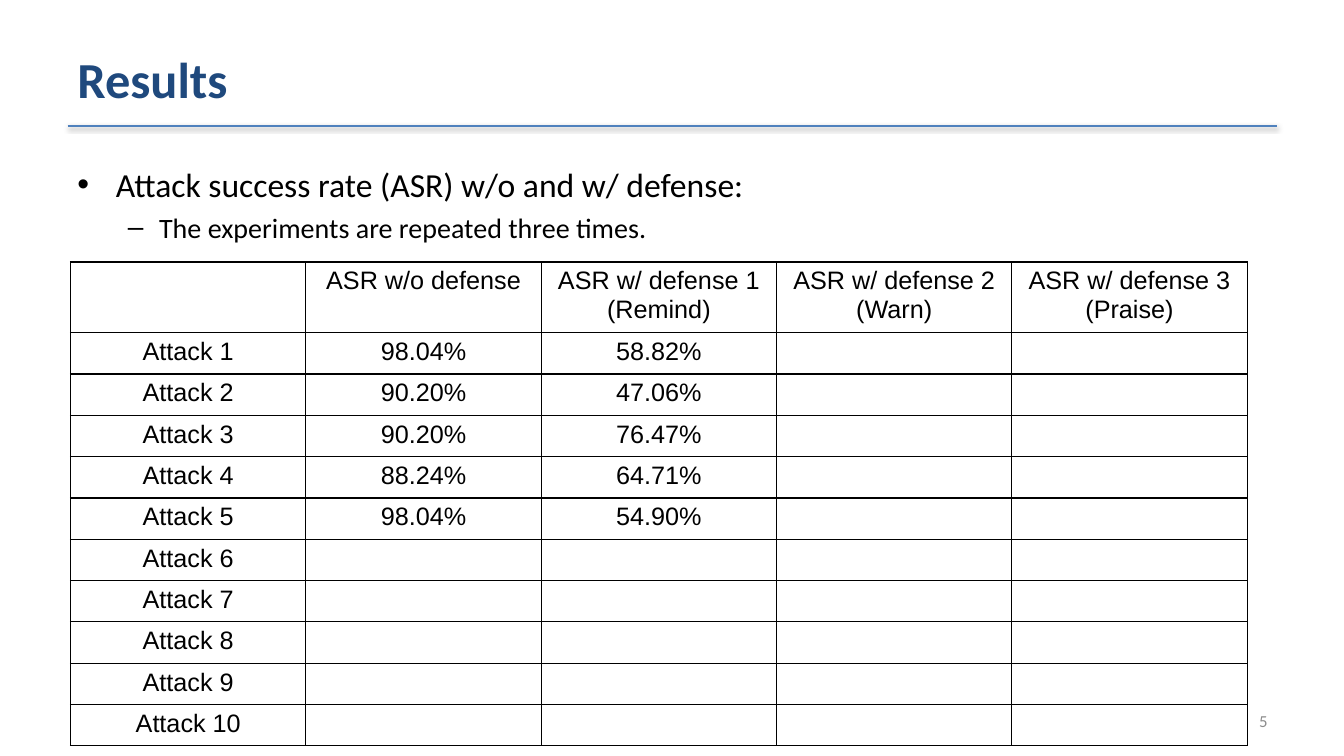
"""Build the results slide: a heading, two bullets and a table of attack success rates."""
import dataclasses

import lxml.etree
import pptx
import pptx.dml.color
import pptx.enum.shapes
import pptx.enum.text
import pptx.oxml
import pptx.oxml.ns
import pptx.util

Inches = pptx.util.Inches
Pt = pptx.util.Pt
Align = pptx.enum.text.PP_ALIGN
Anchor = pptx.enum.text.MSO_ANCHOR
qn = pptx.oxml.ns.qn


@dataclasses.dataclass(frozen=True)
class Theme:
    """Colours, fonts and type sizes of the slide."""
    title: str = "1F497D"
    rule: str = "4F81BD"
    ink: str = "000000"
    gray: str = "8C8C8C"
    sans: str = "Calibri"
    grid: str = "Arial"
    head: int = 36
    lead: int = 24
    sub: int = 20
    cell: int = 18
    foot: int = 12


THEME = Theme()
HEADS = ["", "ASR w/o defense", "ASR w/ defense 1 (Remind)",
         "ASR w/ defense 2 (Warn)", "ASR w/ defense 3 (Praise)"]
RATES = [("98.04%", "58.82%"), ("90.20%", "47.06%"), ("90.20%", "76.47%"),
         ("88.24%", "64.71%"), ("98.04%", "54.90%")]
COUNT = 10


def rgb(code):
    """Turn a hex code into a colour."""
    return pptx.dml.color.RGBColor.from_string(code)


def write(para, text, size, font=THEME.sans, color=THEME.ink, bold=False, align=Align.LEFT):
    """Put formatted text into a paragraph."""
    para.alignment = align
    run = para.add_run()
    run.text = text
    run.font.size = Pt(size)
    run.font.name = font
    run.font.bold = bold
    run.font.color.rgb = rgb(color)


def frame(slide, box, anchor=Anchor.TOP):
    """Add a wrapping text box and return its text frame."""
    area = slide.shapes.add_textbox(*map(Inches, box)).text_frame
    area.word_wrap = True
    area.vertical_anchor = anchor
    return area


def bullet(para, mark, left, hang):
    """Give a paragraph a bullet and a hanging indent."""
    props = para._p.get_or_add_pPr()
    props.set("marL", str(Inches(left)))
    props.set("indent", str(-Inches(hang)))
    lxml.etree.SubElement(props, qn("a:buFont"), typeface="Arial")
    lxml.etree.SubElement(props, qn("a:buChar"), char=mark)


def shade(line):
    """Cast a soft shadow below a connector."""
    effects = lxml.etree.SubElement(line._element.spPr, qn("a:effectLst"))
    cast = lxml.etree.SubElement(effects, qn("a:outerShdw"), blurRad=str(Pt(3.1)),
                                 dist=str(Pt(1.6)), dir="5400000", rotWithShape="0")
    tint = lxml.etree.SubElement(cast, qn("a:srgbClr"), val=THEME.ink)
    lxml.etree.SubElement(tint, qn("a:alpha"), val="38000")


def border(cell):
    """Draw all four edges of a cell."""
    props = cell._tc.get_or_add_tcPr()
    for spot, side in enumerate(("lnL", "lnR", "lnT", "lnB")):
        edge = lxml.etree.Element(qn("a:" + side), w=str(Pt(1)))
        fill = lxml.etree.SubElement(edge, qn("a:solidFill"))
        lxml.etree.SubElement(fill, qn("a:srgbClr"), val=THEME.ink)
        props.insert(spot, edge)


def header(slide, box):
    """Place the title with a rule along the bottom of its box."""
    left, top, width, height = box
    base = Inches(top + height)
    line = slide.shapes.add_connector(pptx.enum.shapes.MSO_CONNECTOR.STRAIGHT,
                                      Inches(left), base, Inches(left + width), base)
    line.line.color.rgb = rgb(THEME.rule)
    line.line.width = Pt(2)
    shade(line)
    area = frame(slide, box, Anchor.MIDDLE)
    write(area.paragraphs[0], "Results", THEME.head, color=THEME.title, bold=True)


def body(slide, box):
    """Place the two bullet levels."""
    area = frame(slide, box)
    lead, sub = area.paragraphs[0], area.add_paragraph()
    sub.level = 1
    write(lead, "Attack success rate (ASR) w/o and w/ defense:", THEME.lead)
    write(sub, "The experiments are repeated three times.", THEME.sub)
    lead.space_before = Pt(THEME.lead * 0.2)
    sub.space_before = Pt(THEME.sub * 0.2)
    bullet(lead, "•", 0.38, 0.38)
    bullet(sub, "–", 0.81, 0.31)


def grid(slide, box):
    """Place the table of success rates, with a taller first row."""
    left, top, width, height = box
    step = 0.41
    rows = [HEADS]
    for num in range(COUNT):
        rates = RATES[num] if num < len(RATES) else ()
        rows.append([f"Attack {num + 1}", *rates])
    table = slide.shapes.add_table(len(rows), len(HEADS), *map(Inches, box)).table
    table.first_row = False
    table.horz_banding = False
    for col in table.columns:
        col.width = Inches(width / len(HEADS))
    for num, row in enumerate(table.rows):
        row.height = Inches(step if num else height - COUNT * step)
        for spot, cell in enumerate(row.cells):
            cell.fill.background()
            border(cell)
            text = rows[num][spot] if spot < len(rows[num]) else ""
            if text:
                write(cell.text_frame.paragraphs[0], text, THEME.cell,
                      font=THEME.grid, align=Align.CENTER)


def footer(slide, box):
    """Place the page number."""
    area = frame(slide, box, Anchor.MIDDLE)
    write(area.paragraphs[0], "5", THEME.foot, color=THEME.gray, align=Align.RIGHT)


def main():
    """Build and save the deck."""
    deck = pptx.Presentation()
    deck.slide_width, deck.slide_height = Inches(13.33), Inches(7.5)
    slide = deck.slides.add_slide(deck.slide_layouts[6])
    header(slide, (0.67, 0.3, 12, 0.95))
    footer(slide, (9.56, 6.95, 3.11, 0.4))
    body(slide, (0.67, 1.58, 12, 5.12))
    grid(slide, (0.7, 2.6, 11.67, 4.76))
    deck.save("out.pptx")


if __name__ == "__main__":
    main()
